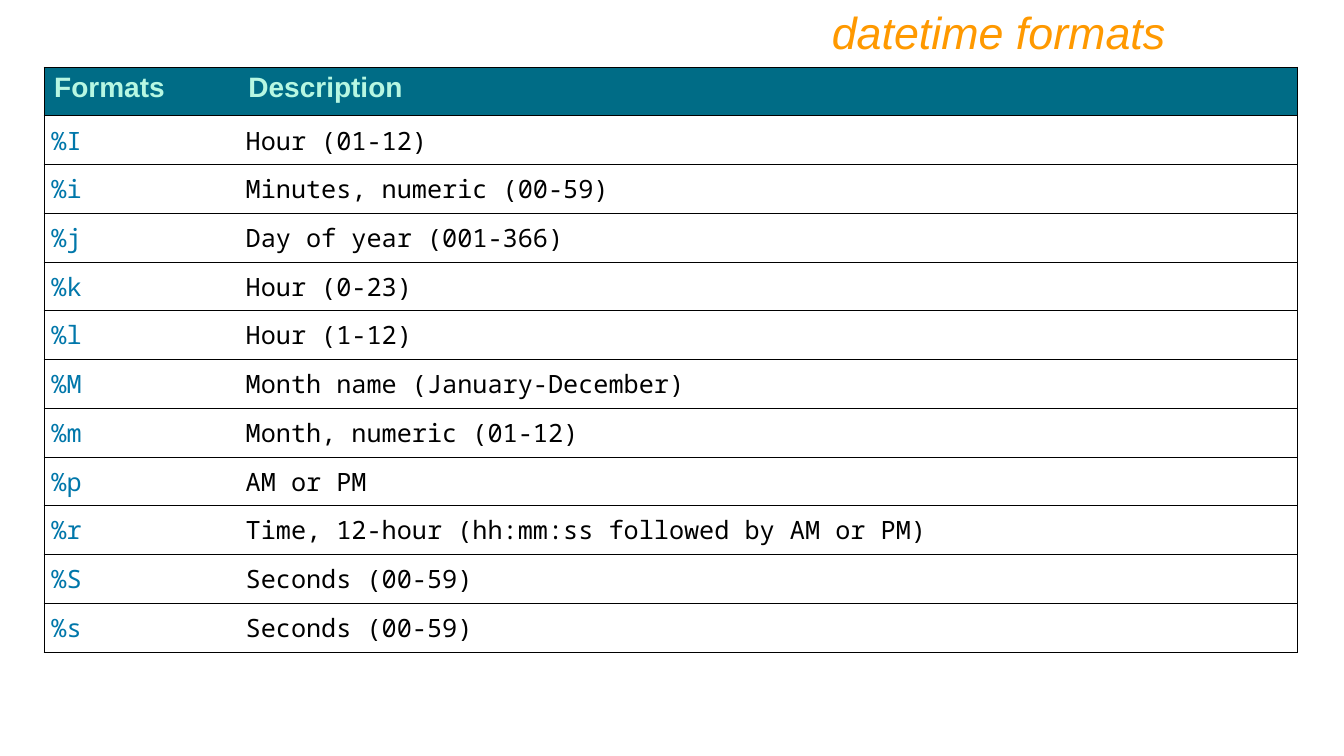
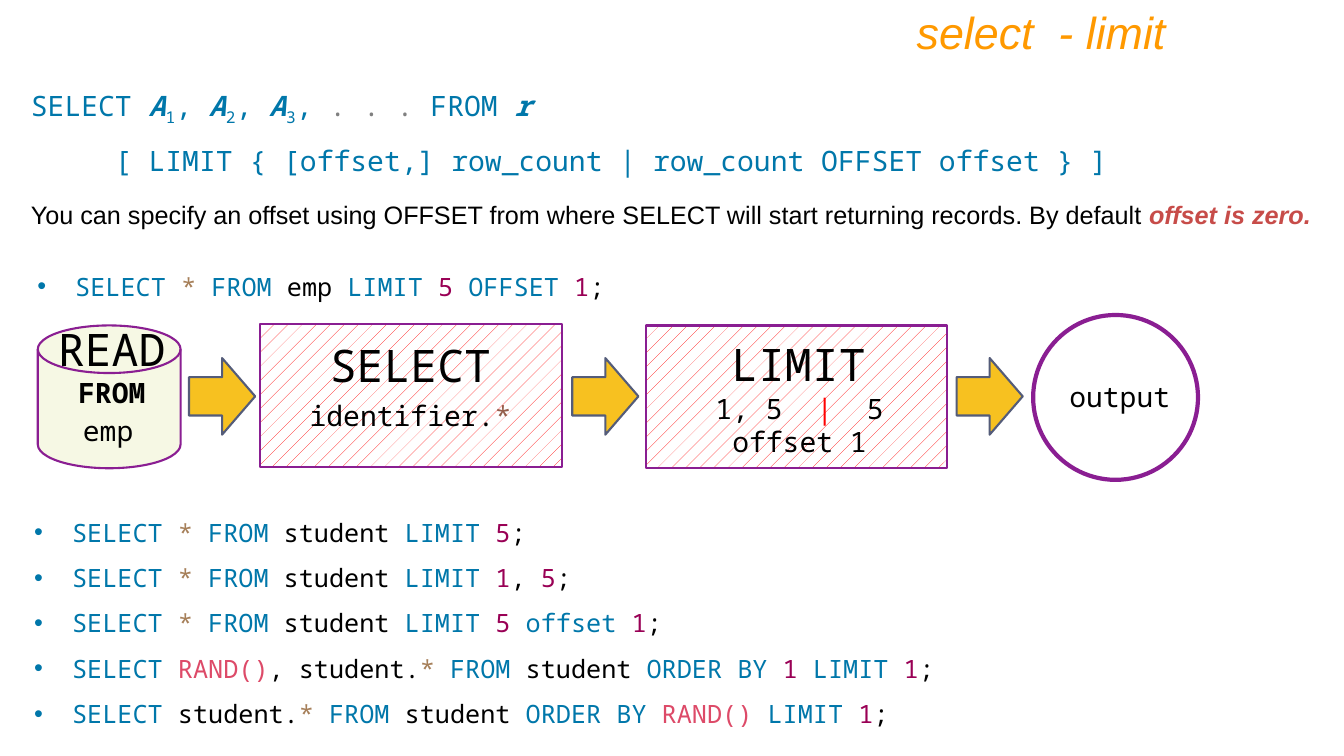
from lxml import etree
from pptx import Presentation
from pptx import util as u
from pptx.dml.color import RGBColor
from pptx.enum import dml, shapes, text
from pptx.oxml.ns import qn

PX = 9525  # EMU per px, 1280 x 720 px slide
SANS, MONO = "Arial", "Noto Sans Mono"
ORANGE = RGBColor(0xFF, 0x99, 0x00)
TEAL = RGBColor(0x00, 0x6C, 0x86)
MINT = RGBColor(0xB7, 0xF7, 0xE2)
BLUE = RGBColor(0x00, 0x77, 0xAA)
BLACK = RGBColor(0x00, 0x00, 0x00)
WHITE = RGBColor(0xFF, 0xFF, 0xFF)
GRAY = RGBColor(0x80, 0x80, 0x80)
RED = RGBColor(0xFF, 0x00, 0x00)
BRICK = RGBColor(0xC7, 0x4C, 0x49)
BROWN = RGBColor(0x95, 0x5E, 0x4B)
TAN = RGBColor(0xA6, 0x7F, 0x59)
PLUM = RGBColor(0x99, 0x00, 0x55)
PINK = RGBColor(0xDD, 0x4A, 0x68)
PURPLE = RGBColor(0x8A, 0x1E, 0x92)
CREAM = RGBColor(0xF6, 0xF8, 0xE4)
YELLOW = RGBColor(0xF7, 0xC1, 0x20)
SLATE = RGBColor(0x54, 0x5C, 0x79)

SYNTAX = {"*": TAN, "RAND()": PINK, "1": PLUM, "5": PLUM}
for keyword in ("SELECT", "FROM", "LIMIT", "OFFSET", "offset", "ORDER BY"):
    SYNTAX[keyword] = BLUE


def place(shape, left, top, width, height):
    shape.left, shape.top = left * PX, top * PX
    shape.width, shape.height = width * PX, height * PX


def write(para, spans, size, font=MONO, align=None):
    """Each span is (words, colour) with an optional style: "strong" or "sub"."""
    para.alignment = align
    para.font.size, para.font.name = u.Pt(size), font
    for words, colour, *style in spans:
        span = para.add_run()
        span.text = words
        span.font.color.rgb = colour
        if "strong" in style:
            span.font.bold = span.font.italic = True
        if "sub" in style:
            span._r.get_or_add_rPr().set("baseline", "-25000")


deck = Presentation()
deck.slide_width, deck.slide_height = 1280 * PX, 720 * PX

# Pages with their titles
pages = []
for layout, heading in ((5, "datetime formats"), (3, "select  - limit")):
    page = deck.slides.add_slide(deck.slide_layouts[layout])
    title = page.shapes.title
    place(title, 160, 0, 960, 61)
    title.text_frame.vertical_anchor = text.MSO_ANCHOR.TOP
    title.text_frame.auto_size = text.MSO_AUTO_SIZE.NONE
    title_para = title.text_frame.paragraphs[0]
    write(title_para, [(heading, ORANGE)], 32, SANS, text.PP_ALIGN.RIGHT)
    title_para.font.italic = True
    pages.append(page)
formats_page, limit_page = pages

# Table of formats
ROWS = [
    ("Formats", "Description"),
    ("%I", "Hour (01-12)"),
    ("%i", "Minutes, numeric (00-59)"),
    ("%j", "Day of year (001-366)"),
    ("%k", "Hour (0-23)"),
    ("%l", "Hour (1-12)"),
    ("%M", "Month name (January-December)"),
    ("%m", "Month, numeric (01-12)"),
    ("%p", "AM or PM"),
    ("%r", "Time, 12-hour (hh:mm:ss followed by AM or PM)"),
    ("%S", "Seconds (00-59)"),
    ("%s", "Seconds (00-59)"),
]
table = formats_page.shapes.add_table(
    len(ROWS), 2, 42 * PX, 64 * PX, 1194 * PX, 557 * PX).table
table.horz_banding = False
table.columns[0].width, table.columns[1].width = 185 * PX, 1009 * PX

for row, entries in enumerate(ROWS):
    for column, entry in enumerate(entries):
        cell = table.cell(row, column)
        para = cell.text_frame.paragraphs[0]
        if row == 0:
            write(para, [(entry, MINT)], 20, SANS)
            para.font.bold = True
        else:
            write(para, [(entry, BLACK if column else BLUE)], 18)
            cell.vertical_anchor = text.MSO_ANCHOR.MIDDLE
            cell.margin_left = cell.margin_right = 7 * PX
            cell.margin_top = cell.margin_bottom = 0
        # Every border but the one between the columns
        inner = "a:lnL" if column else "a:lnR"
        for side in ("a:lnL", "a:lnR", "a:lnT", "a:lnB"):
            line = etree.SubElement(cell._tc.get_or_add_tcPr(), qn(side), w="9525")
            if side == inner:
                etree.SubElement(line, qn("a:noFill"))
            else:
                fill = etree.SubElement(line, qn("a:solidFill"))
                etree.SubElement(fill, qn("a:srgbClr"), val=str(BLACK))
        cell.fill.solid()
        cell.fill.fore_color.rgb = WHITE if row else TEAL

# Example statements: bars part the coloured tokens
EXAMPLE = ["SELECT |* |FROM |emp |LIMIT |5 |OFFSET |1|;"]
VARIANTS = [
    "SELECT |* |FROM |student |LIMIT |5|;",
    "SELECT |* |FROM |student |LIMIT |1|, |5|;",
    "SELECT |* |FROM |student |LIMIT |5 |offset |1|;",
    "SELECT |RAND()|, student.|* |FROM |student |ORDER BY |1 |LIMIT |1|;",
    "SELECT| student.|* |FROM |student |ORDER BY |RAND() |LIMIT |1|;",
]
bodies = [body for body in limit_page.placeholders if body.placeholder_format.idx > 0]
for body, area, statements in (
    (bodies[0], (26, 239, 1192, 49), EXAMPLE),
    (bodies[1], (23, 473, 1192, 224), VARIANTS),
):
    place(body, *area)
    frame = body.text_frame
    frame.auto_size = text.MSO_AUTO_SIZE.NONE
    for index, statement in enumerate(statements):
        para = frame.add_paragraph() if index else frame.paragraphs[0]
        para.line_spacing, para.space_before = 1.5, u.Pt(0)
        props = para._p.get_or_add_pPr()
        props.set("marL", str(36 * PX))
        props.set("indent", str(-36 * PX))
        etree.SubElement(props, qn("a:buFont"), typeface=SANS)
        etree.SubElement(props, qn("a:buChar"), char="•")
        write(para, [(token, SYNTAX.get(token.strip(), BLACK))
                     for token in statement.split("|")], 18)

# Flow shapes
KIND = shapes.MSO_SHAPE
FLOW = [
    (KIND.FLOWCHART_MAGNETIC_DISK, (36, 310, 136, 136), CREAM, PURPLE, 1.5),
    (KIND.RECTANGLE, (248, 309, 287, 136), "hatch", PURPLE, 1.5),
    (KIND.RECTANGLE, (615, 310, 287, 136), "hatch", PURPLE, 1.5),
    (KIND.OVAL, (984, 300, 157, 157), None, PURPLE, 3),
]
FLOW += [(KIND.RIGHT_ARROW, (left, 341, 63, 73), YELLOW, SLATE, 1.5)
         for left in (180, 545, 911)]
for kind, area, fill, outline, weight in FLOW:
    shape = limit_page.shapes.add_shape(kind, 0, 0, 0, 0)
    place(shape, *area)
    shape.shadow.inherit = False
    shape.line.color.rgb, shape.line.width = outline, u.Pt(weight)
    if fill is None:
        shape.fill.background()
    elif fill == "hatch":
        shape.fill.patterned()
        shape.fill.pattern = dml.MSO_PATTERN.PERCENT_5
        shape.fill.fore_color.rgb, shape.fill.back_color.rgb = RED, WHITE
    else:
        shape.fill.solid()
        shape.fill.fore_color.rgb = fill

# Syntax line, explanation and flow labels
syntax = [("SELECT ", BLUE)]
for number in "123":
    syntax += [("A", BLUE, "strong"), (number, BLUE, "sub"), (", ", BLUE)]
syntax += [(". . .", GRAY), (" FROM ", BLUE), ("r", BLUE, "strong")]
option = "     [ LIMIT { [offset,] row_count | row_count OFFSET offset } ]"
explanation = [
    ("You can specify an offset using OFFSET from where SELECT will start "
     "returning records. By default", BLACK),
    (" offset is zero.", BRICK, "strong"),
]
LEFT, CENTER = text.PP_ALIGN.LEFT, text.PP_ALIGN.CENTER
BOXES = [  # area, font, alignment, line spacing, (size, spans) of each paragraph
    ((20, 61, 1202, 102), MONO, LEFT, 1.5, [(20, syntax), (20, [(option, BLUE)])]),
    ((20, 185, 1239, 38), SANS, LEFT, 1.0, [(18, explanation)]),
    ((37, 302, 139, 94), MONO, CENTER, 1.0,
     [(32, [("READ", BLACK)]), (20, [("FROM", BLACK)])]),
    ((37, 389, 132, 42), MONO, CENTER, 1.0, [(20, [("emp", BLACK)])]),
    ((248, 317, 286, 61), MONO, CENTER, 1.0, [(32, [("SELECT", BLACK)])]),
    ((248, 375, 286, 42), MONO, CENTER, 1.0,
     [(20, [("identifier.", BLACK), ("*", BROWN)])]),
    ((620, 316, 281, 61), MONO, CENTER, 1.0, [(32, [("LIMIT", BLACK)])]),
    ((621, 368, 281, 74), MONO, CENTER, 1.0,
     [(20, [("1, 5  ", BLACK), ("|", RED), ("  5 offset 1", BLACK)])]),
    ((990, 357, 153, 42), MONO, CENTER, 1.0, [(20, [("output", BLACK)])]),
]
for area, font, align, spacing, paragraphs in BOXES:
    box = limit_page.shapes.add_textbox(0, 0, 0, 0)
    place(box, *area)
    frame = box.text_frame
    frame.word_wrap = True
    for index, (size, spans) in enumerate(paragraphs):
        para = frame.add_paragraph() if index else frame.paragraphs[0]
        para.line_spacing = spacing
        write(para, spans, size, font, align)
        if spans[0][0] == "FROM":
            para.font.bold = True

deck.save("out.pptx")
